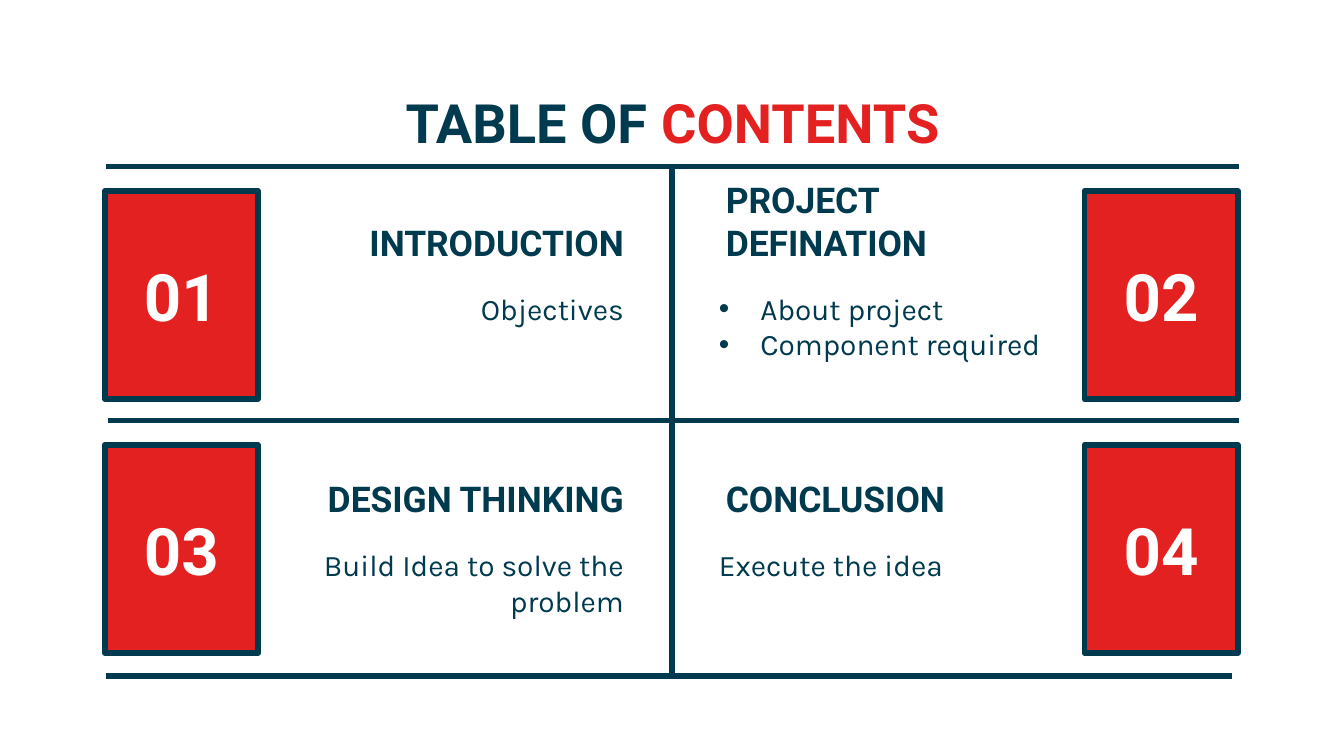
from dataclasses import dataclass

import pptx
import pptx.dml.color
import pptx.enum.shapes
import pptx.enum.text
import pptx.oxml.ns
import pptx.util
from lxml import etree

Inches = pptx.util.Inches
Pt = pptx.util.Pt
ALIGN = pptx.enum.text.PP_ALIGN
ANCHOR = pptx.enum.text.MSO_ANCHOR
SHAPE = pptx.enum.shapes.MSO_SHAPE
qn = pptx.oxml.ns.qn


@dataclass(frozen=True)
class Theme:
    navy: str = "003A4E"
    red: str = "E42121"
    white: str = "FFFFFF"
    head_font: str = "Roboto"
    body_font: str = "Karla"
    bullet_font: str = "Arial"
    title_size: float = 29
    number_size: float = 35
    heading_size: float = 19
    body_size: float = 16
    line_width: float = 3


@dataclass(frozen=True)
class Section:
    number: str
    heading: str
    body: tuple[str, ...]
    bulleted: bool = False


@dataclass(frozen=True)
class Column:
    card_x: float
    text_x: float
    align: ALIGN


@dataclass(frozen=True)
class Row:
    card_y: float
    heading_y: float


THEME = Theme()
TEXT_W, HEADING_H, BODY_H = 2.61, 0.56, 0.8
CARD_W, CARD_H = 1.14, 1.55
COLUMNS = (Column(0.78, 2.13, ALIGN.RIGHT), Column(8.07, 5.25, ALIGN.LEFT))
ROWS = (Row(1.42, 1.5), Row(3.31, 3.41))
SECTIONS = (
    Section("01", "INTRODUCTION", ("Objectives",)),
    Section("02", "PROJECT DEFINATION", ("About project", "Component required"), True),
    Section("03", "DESIGN THINKING", ("Build Idea to solve the problem",)),
    Section("04", "CONCLUSION", ("Execute the idea",)),
)
RULES = (
    (5, 1.24, 5, 5.01),
    (0.8, 3.13, 9.22, 3.13),
    (0.79, 1.24, 9.22, 1.24),
    (0.79, 5.03, 9.17, 5.03),
)


def rgb(color: str) -> pptx.dml.color.RGBColor:
    return pptx.dml.color.RGBColor.from_string(color)


def add_bullet(p, color: str, indent: float = 0.31) -> None:
    pPr = p._p.get_or_add_pPr()
    pPr.set("marL", str(Inches(indent)))
    pPr.set("indent", str(-Inches(indent)))
    clr = etree.SubElement(pPr, qn("a:buClr"))
    etree.SubElement(clr, qn("a:srgbClr")).set("val", color)
    etree.SubElement(pPr, qn("a:buFont")).set("typeface", THEME.bullet_font)
    etree.SubElement(pPr, qn("a:buChar")).set("char", "•")


def write(sp, *paragraphs, size: float, font: str = THEME.head_font, color: str = THEME.navy,
          bold: bool = True, align=ALIGN.LEFT, anchor=ANCHOR.TOP, left: float = 0.1,
          bulleted: bool = False) -> None:
    """Fill a shape; each paragraph is a string or a list of (text, color) runs."""
    tf = sp.text_frame
    tf.word_wrap = True
    tf.vertical_anchor = anchor
    tf.margin_left = Inches(left)
    tf.margin_top = tf.margin_right = tf.margin_bottom = Inches(0.1)
    for i, runs in enumerate(paragraphs):
        p = tf.add_paragraph() if i else tf.paragraphs[0]
        p.alignment = align
        if bulleted:
            add_bullet(p, color)
        for text, run_color in [(runs, color)] if isinstance(runs, str) else runs:
            r = p.add_run()
            r.text = text
            r.font.name, r.font.size, r.font.bold = font, Pt(size), bold
            r.font.color.rgb = rgb(run_color)


def add_box(s, x: float, y: float, w: float, h: float):
    return s.shapes.add_textbox(Inches(x), Inches(y), Inches(w), Inches(h))


def add_card(s, x: float, y: float, number: str) -> None:
    sp = s.shapes.add_shape(SHAPE.RECTANGLE, Inches(x), Inches(y), Inches(CARD_W), Inches(CARD_H))
    sp.shadow.inherit = False
    sp.fill.solid()
    sp.fill.fore_color.rgb = rgb(THEME.red)
    sp.line.color.rgb = rgb(THEME.navy)
    sp.line.width = Pt(THEME.line_width)
    write(sp, number, size=THEME.number_size, color=THEME.white,
          align=ALIGN.CENTER, anchor=ANCHOR.MIDDLE)


def add_section(s, section: Section, col: Column, row: Row) -> None:
    write(add_box(s, col.text_x, row.heading_y, TEXT_W, HEADING_H), section.heading,
          size=THEME.heading_size, align=col.align, anchor=ANCHOR.BOTTOM, left=0.15)
    write(add_box(s, col.text_x, row.heading_y + HEADING_H, TEXT_W, BODY_H), *section.body,
          size=THEME.body_size, font=THEME.body_font, bold=False, align=col.align,
          bulleted=section.bulleted)
    add_card(s, col.card_x, row.card_y, section.number)


def add_rule(s, x1: float, y1: float, x2: float, y2: float) -> None:
    line = s.shapes.add_connector(pptx.enum.shapes.MSO_CONNECTOR.STRAIGHT,
                                  Inches(x1), Inches(y1), Inches(x2), Inches(y2))
    line.line.color.rgb = rgb(THEME.navy)
    line.line.width = Pt(THEME.line_width)
    etree.SubElement(line._element.spPr, qn("a:effectLst"))


def main() -> None:
    # Widescreen 16:9 slide
    prs = pptx.Presentation()
    prs.slide_width = Inches(10)
    prs.slide_height = Inches(10 * 9 / 16)
    s = prs.slides.add_slide(prs.slide_layouts[6])

    # Title
    write(add_box(s, 0.79, 0.59, 8.43, 0.63),
          [("TABLE OF ", THEME.navy), ("CONTENTS", THEME.red)],
          size=THEME.title_size, align=ALIGN.CENTER, anchor=ANCHOR.MIDDLE)

    # Sections, two to a row
    for i, section in enumerate(SECTIONS):
        add_section(s, section, COLUMNS[i % 2], ROWS[i // 2])

    # Dividing rules
    for rule in RULES:
        add_rule(s, *rule)

    prs.save("out.pptx")


if __name__ == "__main__":
    main()
